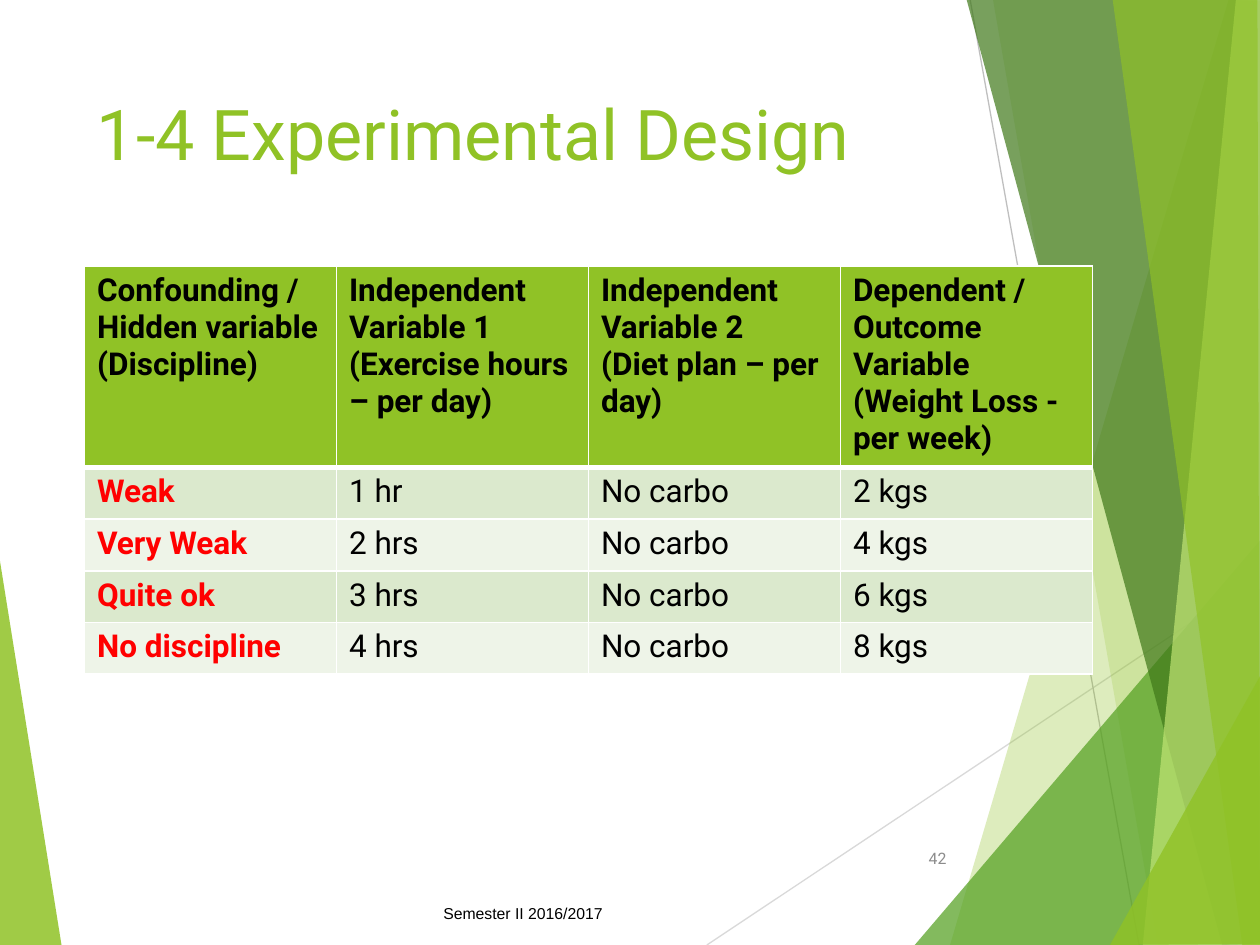
"""Build the experimental design slide with its variables table."""
from lxml.etree import SubElement
from pptx import Presentation
from pptx.dml.color import RGBColor as Color
from pptx.enum.shapes import MSO_CONNECTOR as Connector
from pptx.enum.text import MSO_ANCHOR as Anchor, PP_ALIGN as Align
from pptx.oxml.ns import qn
from pptx.util import Pt

PX = 9144
COLORS = {
    "lime": "90C226", "green": "54A021", "forest": "3F7819", "pale": "C0E474",
    "band": "DBE9CD", "light_band": "EEF4E8", "red": "FF0000", "black": "000000",
    "white": "FFFFFF", "gray": "8C8C8C", "line": "D9D9D9", "dark_line": "BFBFBF",
}


def write_text(frame, text, color, size, name="Roboto", bold=False, align=Align.LEFT):
    frame.text = text
    formats = {"name": name, "size": Pt(size), "bold": bold}
    for paragraph in frame.paragraphs:
        paragraph.alignment = align
        for key, value in formats.items():
            setattr(paragraph.font, key, value)
        paragraph.font.color.rgb = Color.from_string(COLORS[color])


def add_solid_fill(parent, color):
    fill = SubElement(parent, qn("a:solidFill"))
    return SubElement(fill, qn("a:srgbClr"), val=COLORS[color])


presentation = Presentation()
presentation.slide_width, presentation.slide_height = 1000 * PX, 750 * PX
slide = presentation.slides.add_slide(presentation.slide_layouts[6])
shapes = slide.shapes

rays = [
    ((561, 750, 1001, 457), "line"),
    ((770, 0, 904, 750), "dark_line"),
]
for ends, color in rays:
    ray = shapes.add_connector(Connector.STRAIGHT, *[end * PX for end in ends])
    ray.line.color.rgb = Color.from_string(COLORS[color])
    ray.line.width = Pt(0.75)
    SubElement(ray._element.spPr, qn("a:effectLst"))

facets = [
    ([(-1, 439), (49, 751), (-1, 750)], "lime", 85),
    ([(975, 0), (754, 750), (1002, 751), (1001, 1)], "lime", 30),
    ([(788, -1), (919, 750), (1001, 750), (1001, -1)], "lime", 20),
    ([(726, 750), (1000, 429), (1001, 750)], "green", 72),
    ([(767, -1), (970, 750), (1001, 749), (1001, -1)], "forest", 70),
    ([(981, -1), (907, 750), (1001, 750), (1000, -1)], "pale", 70),
    ([(883, -1), (986, 750), (1000, 750), (998, -1)], "lime", 65),
    ([(881, 750), (1001, 535), (1001, 749)], "lime", 80),
]
for points, color, opacity in facets:
    builder = shapes.build_freeform(*points[0], scale=PX)
    builder.add_line_segments(points[1:], close=True)
    facet = builder.convert_to_shape()
    facet.shadow.inherit = False
    facet.line.fill.background()
    facet.fill.solid()
    facet.fill.fore_color.rgb = Color.from_string(COLORS[color])
    tint = facet._element.spPr.find(qn("a:solidFill"))[0]
    SubElement(tint, qn("a:alpha"), val=str(opacity * 1000))

texts = [
    ((67, 67, 694, 144), Anchor.TOP,
     {"text": "1-4 Experimental Design", "color": "lime", "size": 40}),
    ((342, 700, 317, 50), Anchor.MIDDLE,
     {"text": "Semester II 2016/2017", "color": "black", "size": 9, "name": "Arial"}),
    ((705, 661, 56, 40), Anchor.MIDDLE,
     {"text": "42", "color": "gray", "size": 9, "align": Align.RIGHT}),
]
for box, anchor, content in texts:
    frame = shapes.add_textbox(*[length * PX for length in box]).text_frame
    frame.word_wrap = True
    frame.vertical_anchor = anchor
    write_text(frame, **content)

rows = [
    ["Confounding / Hidden variable (Discipline)",
     "Independent Variable 1\n(Exercise hours – per day)",
     "Independent Variable 2\n(Diet plan – per day)",
     "Dependent / Outcome Variable (Weight Loss - per week)"],
    ["Weak", "1 hr", "No carbo", "2 kgs"],
    ["Very Weak", "2 hrs", "No carbo", "4 kgs"],
    ["Quite ok", "3 hrs", "No carbo", "6 kgs"],
    ["No discipline", "4 hrs", "No carbo", "8 kgs"],
]
table = shapes.add_table(5, 4, 67 * PX, 211 * PX, 800 * PX, 320 * PX).table
for row_index, row in enumerate(rows):
    header = row_index == 0
    table.rows[row_index].height = (156 if header else 41) * PX
    band = "lime" if header else ("light_band", "band")[row_index % 2]
    for column_index, text in enumerate(row):
        cell = table.cell(row_index, column_index)
        label = column_index == 0 and not header
        write_text(cell.text_frame, text, "red" if label else "black", 18,
                   bold=header or label)
        widths = {"lnL": 1, "lnR": 1, "lnT": 3 if row_index == 1 else 1,
                  "lnB": 3 if header else 1}
        properties = cell._tc.get_or_add_tcPr()
        for side, width in widths.items():
            border = SubElement(properties, qn(f"a:{side}"), w=str(Pt(width)))
            add_solid_fill(border, "white")
        cell.fill.solid()
        cell.fill.fore_color.rgb = Color.from_string(COLORS[band])

presentation.save("out.pptx")
